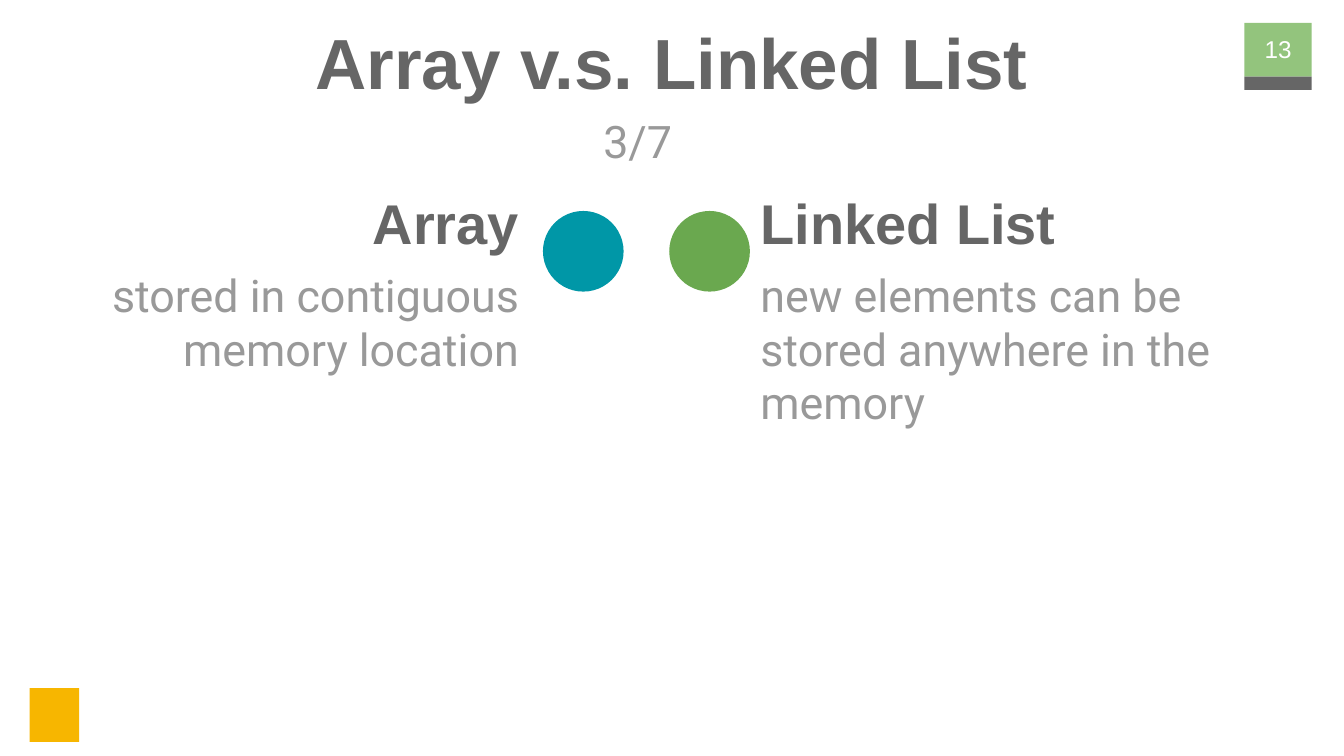
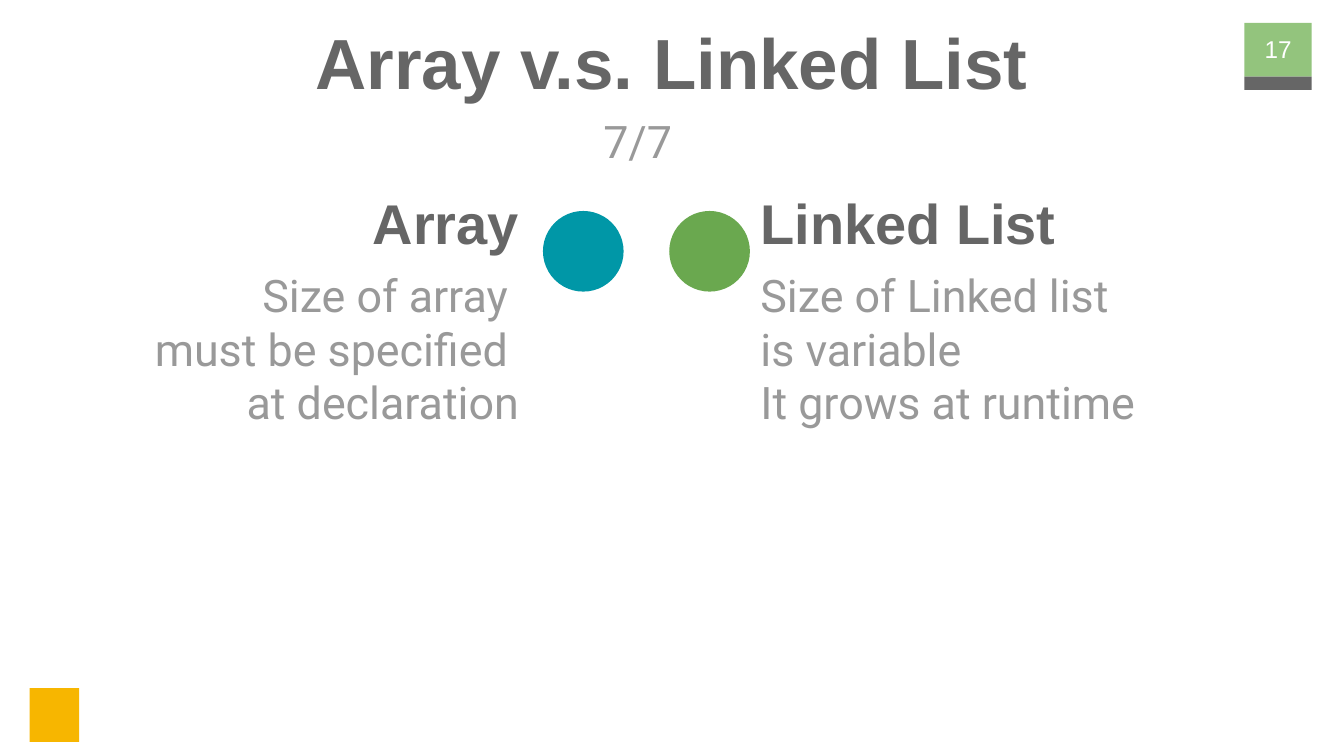
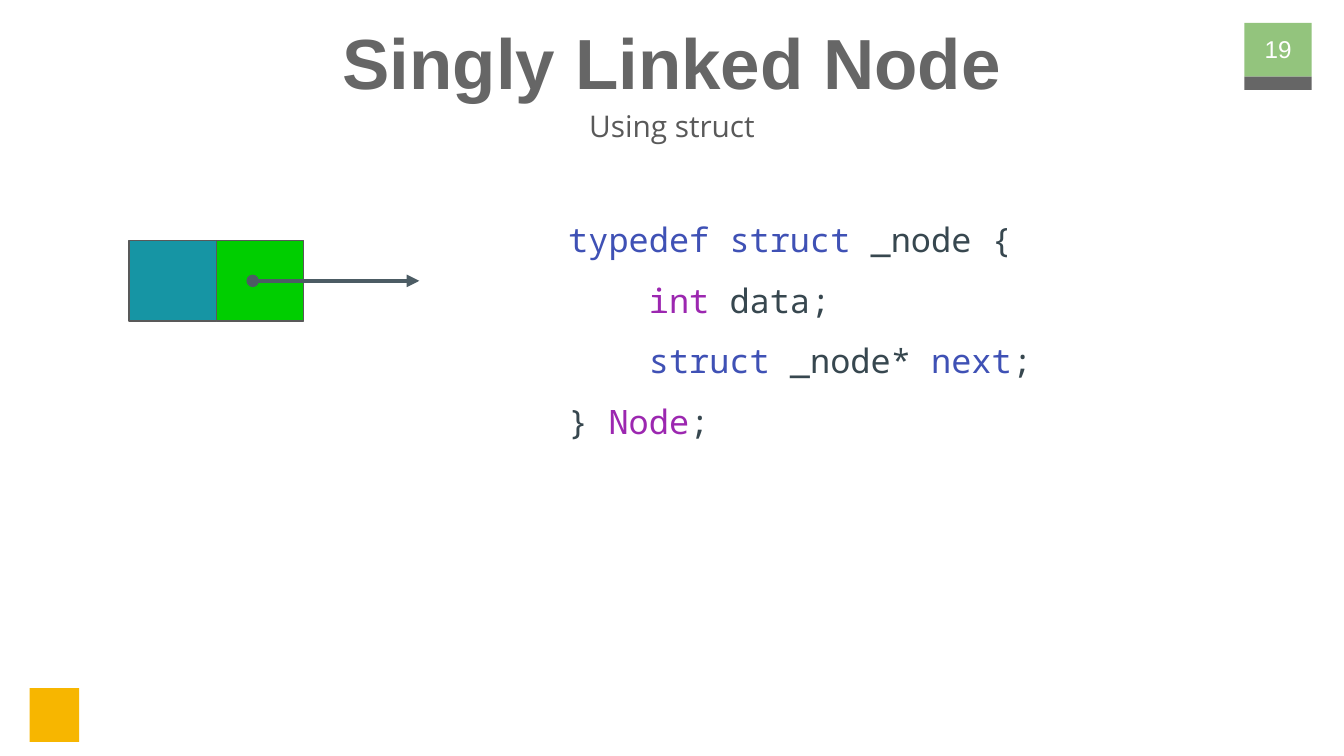
"""Build three slides comparing arrays with linked lists and showing a list node."""
import dataclasses

import pptx
import pptx.dml.color
import pptx.enum.shapes
import pptx.enum.text
import pptx.oxml.ns
import pptx.util
from lxml import etree
from pptx.util import Inches

ALIGN = pptx.enum.text.PP_ALIGN
ANCHOR = pptx.enum.text.MSO_ANCHOR
SHAPE = pptx.enum.shapes.MSO_SHAPE


@dataclasses.dataclass(frozen=True)
class TextStyle:
    font: str
    size: float
    color: str
    bold: bool = False


@dataclasses.dataclass(frozen=True)
class Theme:
    title: TextStyle = TextStyle("Arial", 38, "666666", True)
    heading: TextStyle = TextStyle("Arial", 30, "666666", True)
    body: TextStyle = TextStyle("Roboto", 24, "999999")
    subtitle: TextStyle = TextStyle("Open Sans", 16, "595959")
    number: TextStyle = TextStyle("Arial", 13, "FFFFFF")
    code: TextStyle = TextStyle("Noto Sans Mono", 18, "37474F")
    keyword: str = "3F51B5"
    type_name: str = "9C27B0"
    badge: str = "93C47D"
    badge_band: str = "666666"
    emblem: str = "F7B600"
    array: str = "0097A7"
    linked_list: str = "6AA84F"
    data_cell: str = "1695A4"
    next_cell: str = "00CE00"
    cell_border: str = "595959"
    arrow: str = "4C5C64"


def rgb(color):
    return pptx.dml.color.RGBColor.from_string(color)


class Deck:
    def __init__(self, theme):
        self.theme = theme
        self.presentation = pptx.Presentation()
        self.presentation.slide_width = Inches(10)
        self.presentation.slide_height = Inches(5.625)
        self.slide = None

    def add_slide(self, title, number):
        self.slide = self.presentation.slides.add_slide(self.presentation.slide_layouts[5])
        shape = self.slide.shapes.title
        shape.left, shape.top = Inches(0.34), Inches(0.04)
        shape.width, shape.height = Inches(9.32), Inches(0.63)
        self.fill_text(shape, title, self.theme.title, ALIGN.CENTER)
        self.shape(SHAPE.RECTANGLE, 9.26, 0.17, 0.5, 0.4, self.theme.badge)
        self.shape(SHAPE.RECTANGLE, 9.26, 0.57, 0.5, 0.1, self.theme.badge_band)
        self.shape(SHAPE.RECTANGLE, 0.22, 5.12, 0.37, 0.4, self.theme.emblem)
        self.text(9.21, 0.15, 0.6, 0.43, str(number), self.theme.number, ALIGN.CENTER, ANCHOR.MIDDLE)

    def fill_text(self, shape, content, style, align, anchor=ANCHOR.TOP):
        frame = shape.text_frame
        frame.word_wrap = True
        frame.auto_size = pptx.enum.text.MSO_AUTO_SIZE.NONE
        frame.vertical_anchor = anchor
        frame.margin_left = frame.margin_right = Inches(0.1)
        frame.margin_top = frame.margin_bottom = Inches(0.1)
        paragraph = frame.paragraphs[0]
        paragraph.text = content
        paragraph.alignment = align
        paragraph.font.name = style.font
        paragraph.font.size = pptx.util.Pt(style.size)
        paragraph.font.bold = style.bold
        paragraph.font.color.rgb = rgb(style.color)
        return paragraph

    def text(self, left, top, width, height, content, style, align=ALIGN.LEFT, anchor=ANCHOR.TOP):
        box = self.slide.shapes.add_textbox(Inches(left), Inches(top), Inches(width), Inches(height))
        return self.fill_text(box, content, style, align, anchor)

    def shape(self, kind, left, top, width, height, fill, border=None):
        shape = self.slide.shapes.add_shape(
            kind, Inches(left), Inches(top), Inches(width), Inches(height))
        shape.shadow.inherit = False
        shape.fill.solid()
        shape.fill.fore_color.rgb = rgb(fill)
        if border:
            shape.line.color.rgb = rgb(border)
            shape.line.width = pptx.util.Pt(0.75)
        else:
            shape.line.fill.background()

    def pointer(self, start, end, y):
        connector = self.slide.shapes.add_connector(
            pptx.enum.shapes.MSO_CONNECTOR.STRAIGHT, Inches(start), Inches(y), Inches(end), Inches(y))
        connector.line.color.rgb = rgb(self.theme.arrow)
        connector.line.width = pptx.util.Pt(2.25)
        line = connector.line._get_or_add_ln()
        for tag, kind in (("a:headEnd", "oval"), ("a:tailEnd", "triangle")):
            etree.SubElement(line, pptx.oxml.ns.qn(tag), type=kind)
        etree.SubElement(connector._element.spPr, pptx.oxml.ns.qn("a:effectLst"))

    def code(self, left, top, width, height, lines):
        paragraph = self.text(left, top, width, height, "", self.theme.code)
        paragraph.line_spacing = 1.5
        for index, line in enumerate(lines):
            if index:
                paragraph.add_line_break()
            for content, color in line:
                run = paragraph.add_run()
                run.text = content
                run.font.color.rgb = rgb(color)

    def comparison(self, number, step, array_text, list_text):
        theme = self.theme
        self.add_slide("Array v.s. Linked List", number)
        self.text(4.09, 0.75, 1.31, 0.63, step, theme.body, ALIGN.CENTER)
        columns = (
            ("Array", array_text, 0.34, 3.62, ALIGN.RIGHT, 4.04, theme.array),
            ("Linked List", list_text, 5.56, 3.93, ALIGN.LEFT, 4.98, theme.linked_list),
        )
        for heading, body, left, width, align, dot_left, color in columns:
            self.shape(SHAPE.OVAL, dot_left, 1.57, 0.6, 0.6, color)
            self.text(left, 1.47, width, 0.37, heading, theme.heading, align, ANCHOR.MIDDLE)
            self.text(left, 1.89, width, 2.72, body, theme.body, align)

    def node(self, number):
        theme = self.theme
        self.add_slide("Singly Linked Node", number)
        subtitle = self.text(2.46, 0.66, 5.08, 0.43, "Using struct", theme.subtitle, ALIGN.CENTER)
        subtitle.line_spacing = 1.15
        cell_width = 0.65
        for index, color in enumerate((theme.data_cell, theme.next_cell)):
            self.shape(SHAPE.RECTANGLE, 0.96 + index * cell_width, 1.79, cell_width, 0.6,
                       color, theme.cell_border)
        self.pointer(1.88, 3.12, 2.09)
        plain, keyword, type_name = theme.code.color, theme.keyword, theme.type_name
        self.code(4.13, 1.38, 4.83, 4.05, (
            (("typedef struct", keyword), (" _node {", plain)),
            (("    ", plain), ("int ", type_name), ("data;", plain)),
            (("    ", plain), ("struct", keyword), (" _node* ", plain), ("next", keyword), (";", plain)),
            (("} ", plain), ("Node", type_name), (";", plain)),
        ))


def main():
    deck = Deck(Theme())
    deck.comparison(13, "3/7", "stored in contiguous memory location",
                    "new elements can be stored anywhere in the memory")
    deck.comparison(17, "7/7", "Size of array \vmust be specified \vat declaration",
                    "Size of Linked list \vis variable\vIt grows at runtime")
    deck.node(19)
    deck.presentation.save("out.pptx")


if __name__ == "__main__":
    main()
